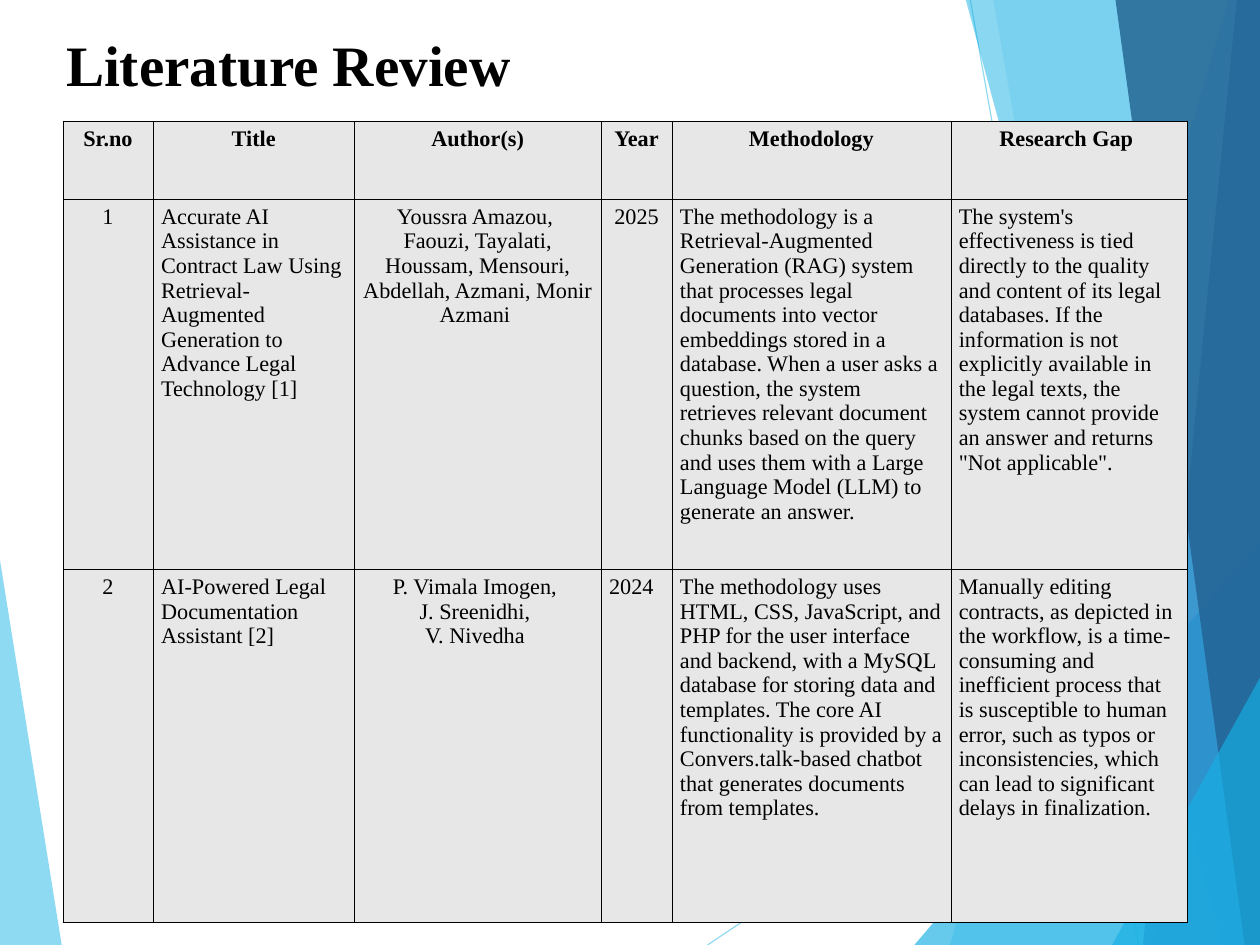
from dataclasses import dataclass
from typing import Any

from lxml.etree import SubElement
from pptx import Presentation
from pptx.dml.color import RGBColor
from pptx.enum.shapes import MSO_CONNECTOR as Link
from pptx.enum.text import MSO_ANCHOR as Anchor, PP_ALIGN as Align
from pptx.oxml.ns import qn
from pptx.util import Inches, Pt

WIDE, HIGH = 28 / 2.54, 21 / 2.54
SKY = RGBColor(0x5F, 0xCB, 0xEF)
CYAN = RGBColor(0x17, 0xB0, 0xE4)
BLUE = RGBColor(0x2E, 0x83, 0xC3)
NAVY = RGBColor(0x23, 0x62, 0x92)
GREY = RGBColor(0xE7, 0xE7, 0xE7)
BLACK = RGBColor(0, 0, 0)
FACE = "Times New Roman"


@dataclass
class Facet:
    color: RGBColor
    alpha: int
    points: list[tuple[float, float]]


FACETS = [
    Facet(SKY, 70, [(0, 4.9), (0.54, HIGH), (0, HIGH)]),
    Facet(SKY, 70, [(6.19, HIGH), (WIDE, 5.03)]),
    Facet(SKY, 70, [(8.49, 0), (9.96, HIGH)]),
    Facet(SKY, 36, [(10.75, 0), (8.31, HIGH), (WIDE, HIGH), (WIDE, 0)]),
    Facet(SKY, 20, [(8.69, 0), (10.14, HIGH), (WIDE, HIGH), (WIDE, 0)]),
    Facet(CYAN, 66, [(8, HIGH), (WIDE, 4.73), (WIDE, HIGH)]),
    Facet(CYAN, 50, [(8.45, 0), (10.69, HIGH), (WIDE, HIGH), (WIDE, 0)]),
    Facet(BLUE, 70, [(10.82, 0), (10, HIGH), (WIDE, HIGH), (WIDE, 0)]),
    Facet(NAVY, 82, [(9.76, 0), (10.89, HIGH), (WIDE, HIGH), (WIDE, 0)]),
    Facet(CYAN, 66, [(9.73, HIGH), (WIDE, 5.93), (WIDE, HIGH)]),
]

COLS = [0.79, 1.76, 2.16, 0.62, 2.44, 2.07]
ROWS = [0.68, 3.24, 3.09]
CENTRED = {(1, 0), (1, 2), (1, 3), (2, 0), (2, 2)}
PAPERS = [
    ["Sr.no", "Title", "Author(s)", "Year", "Methodology", "Research Gap "],
    [
        "1",
        "Accurate AI Assistance in Contract Law Using Retrieval-Augmented "
        "Generation to Advance Legal Technology [1]",
        "Youssra Amazou, \nFaouzi, Tayalati, Houssam, Mensouri, Abdellah, "
        "Azmani, Monir Azmani ",
        "2025",
        "The methodology is a Retrieval-Augmented Generation (RAG) system "
        "that processes legal documents into vector embeddings stored in a "
        "database. When a user asks a question, the system retrieves relevant "
        "document chunks based on the query and uses them with a Large "
        "Language Model (LLM) to generate an answer.",
        "The system's effectiveness is tied directly to the quality and "
        "content of its legal databases. If the information is not explicitly "
        "available in the legal texts, the system cannot provide an answer "
        'and returns "Not applicable".',
    ],
    [
        "2",
        "AI-Powered Legal Documentation Assistant [2]",
        "P. Vimala Imogen, \nJ. Sreenidhi, \nV. Nivedha ",
        "2024",
        "The methodology uses HTML, CSS, JavaScript, and PHP for the user "
        "interface and backend, with a MySQL database for storing data and "
        "templates. The core AI functionality is provided by a "
        "Convers.talk-based chatbot that generates documents from templates.",
        "Manually editing contracts, as depicted in the workflow, is a "
        "time-consuming and inefficient process that is susceptible to human "
        "error, such as typos or inconsistencies, which can lead to "
        "significant delays in finalization.",
    ],
]

TITLE_BOX = {
    "word_wrap": True,
    "vertical_anchor": Anchor.TOP,
    "margin_left": Inches(0.1),
    "margin_right": Inches(0.1),
    "margin_top": Inches(0.05),
    "margin_bottom": 0,
}
CELL_BOX = {
    "vertical_anchor": Anchor.TOP,
    "margin_left": Inches(0.07),
    "margin_right": Inches(0.07),
    "margin_top": Inches(0.05),
    "margin_bottom": Inches(0.05),
}


def apply(target: Any, values: dict[str, Any]) -> None:
    for name, value in values.items():
        setattr(target, name, value)


def write(frame: Any, text: str, size: int, bold: bool, align: Align) -> None:
    frame.text = text
    for para in frame.paragraphs:
        para.alignment = align
        for run in para.runs:
            apply(run.font, {"name": FACE, "size": Pt(size), "bold": bold})
            run.font.color.rgb = BLACK


def fade(shape: Any, alpha: int) -> None:
    for tint in shape._element.spPr.iter(qn("a:srgbClr")):
        SubElement(tint, qn("a:alpha"), val=str(alpha * 1000))


def draw_facet(slide: Any, facet: Facet) -> None:
    dots = [(Inches(x), Inches(y)) for x, y in facet.points]
    if len(dots) == 2:
        shape = slide.shapes.add_connector(Link.STRAIGHT, *dots[0], *dots[1])
        shape.line.color.rgb = facet.color
        shape.line.width = Pt(0.75)
        SubElement(shape._element.spPr, qn("a:effectLst"))
    else:
        path = slide.shapes.build_freeform(*dots[0])
        path.add_line_segments(dots[1:])
        shape = path.convert_to_shape()
        shape.shadow.inherit = False
        shape.fill.solid()
        shape.fill.fore_color.rgb = facet.color
        shape.line.fill.background()
    fade(shape, facet.alpha)


def draw_title(slide: Any) -> None:
    place = map(Inches, (0.48, 0.21, 9.91, 0.64))
    frame = slide.shapes.add_textbox(*place).text_frame
    apply(frame, TITLE_BOX)
    write(frame, "Literature Review", 36, True, Align.LEFT)


def frame_cell(cell: Any) -> None:
    props = cell._tc.get_or_add_tcPr()
    for side in ("L", "R", "T", "B"):
        edge = SubElement(props, qn(f"a:ln{side}"), w=str(Pt(0.45)))
        fill = SubElement(edge, qn("a:solidFill"))
        SubElement(fill, qn("a:srgbClr"), val=str(BLACK))
    cell.fill.solid()
    cell.fill.fore_color.rgb = GREY


def draw_table(slide: Any) -> None:
    place = map(Inches, (0.55, 1.06, sum(COLS), sum(ROWS)))
    table = slide.shapes.add_table(len(ROWS), len(COLS), *place).table
    apply(table, {"first_row": False, "horz_banding": False})
    for col, width in zip(table.columns, COLS):
        col.width = Inches(width)
    for r, (row, height) in enumerate(zip(table.rows, ROWS)):
        row.height = Inches(height)
        for c, text in enumerate(PAPERS[r]):
            cell = table.cell(r, c)
            frame_cell(cell)
            apply(cell, CELL_BOX)
            mid = r == 0 or (r, c) in CENTRED
            align = Align.CENTER if mid else Align.LEFT
            write(cell.text_frame, text, 14, r == 0, align)


def main() -> None:
    deck = Presentation()
    apply(deck, {"slide_width": Inches(WIDE), "slide_height": Inches(HIGH)})
    slide = deck.slides.add_slide(deck.slide_layouts[6])
    for facet in FACETS:
        draw_facet(slide, facet)
    draw_title(slide)
    draw_table(slide)
    deck.save("out.pptx")


if __name__ == "__main__":
    main()
